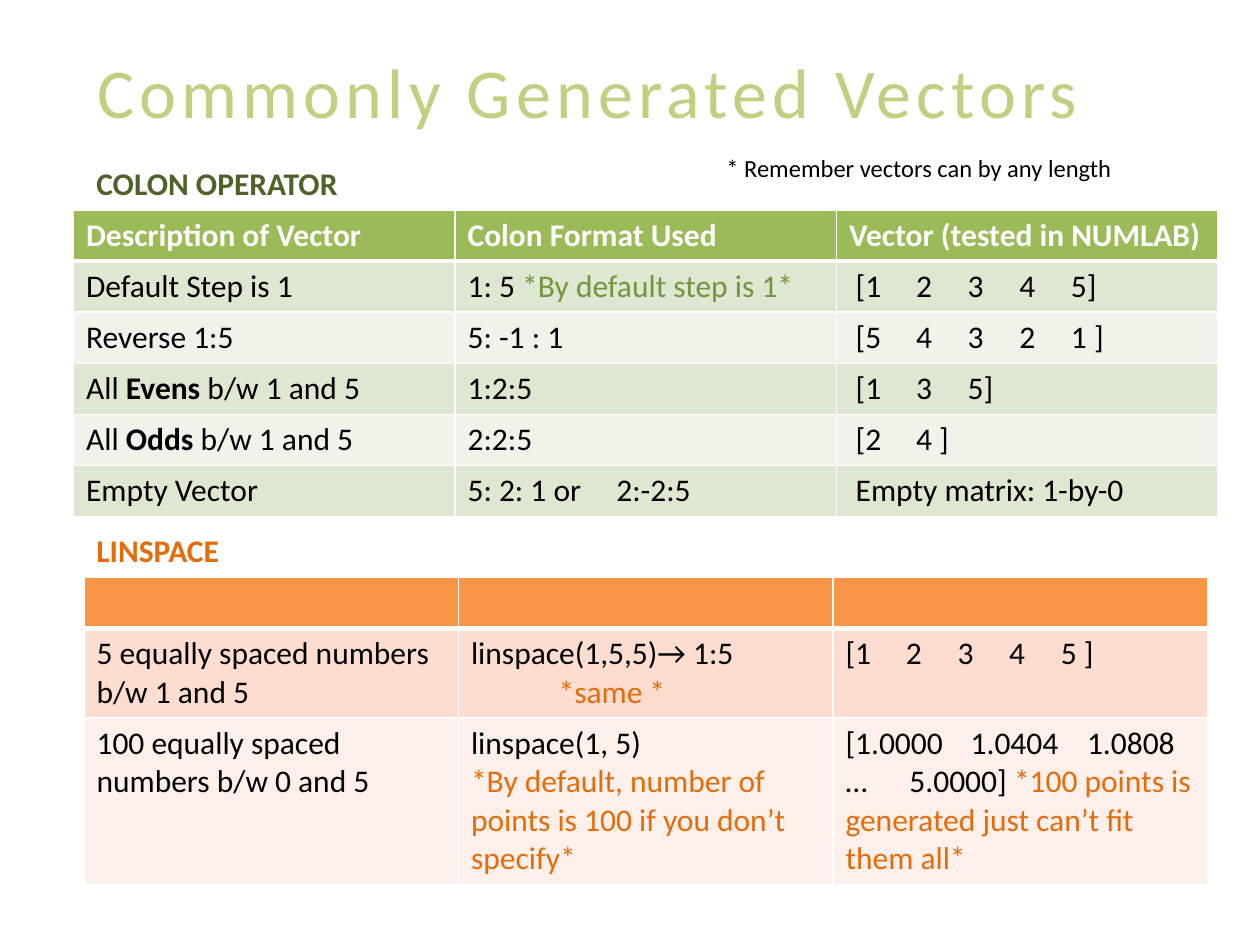
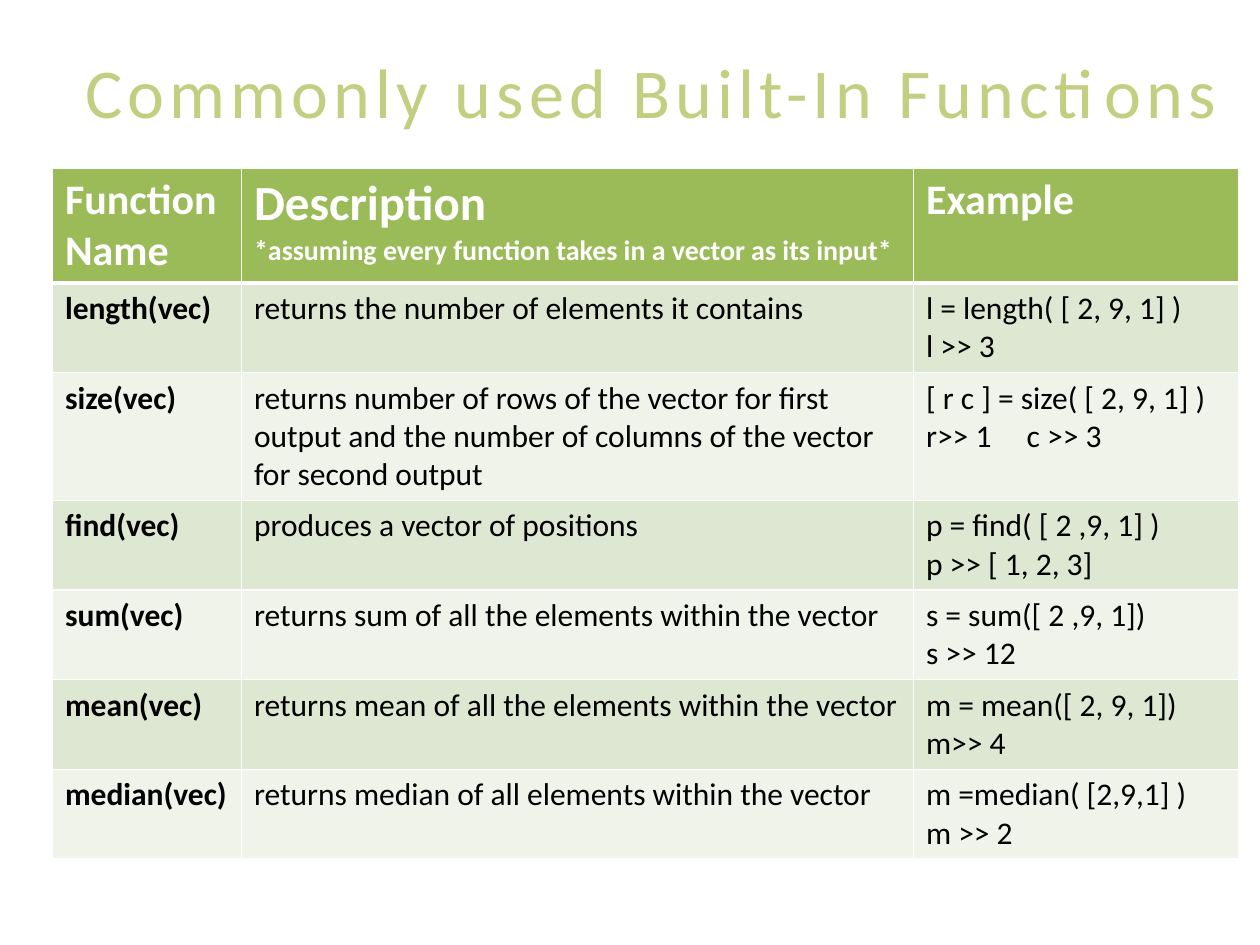
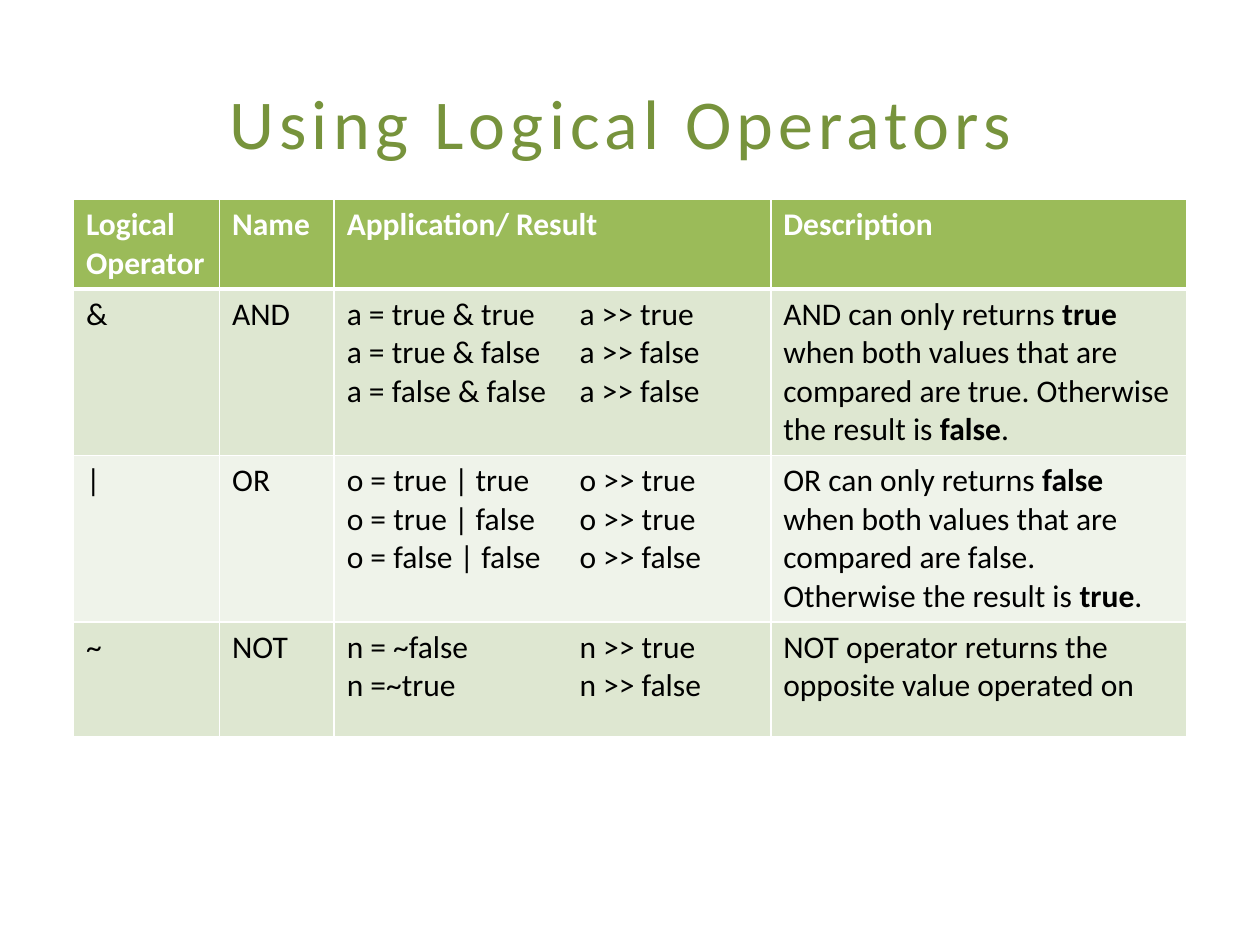
from pptx import Presentation
from pptx.dml.color import RGBColor
from pptx.enum.text import MSO_ANCHOR, PP_ALIGN
from pptx.oxml.ns import qn
from pptx.util import Pt
from lxml.etree import SubElement

# Shared look
FACE = "Calibri"
WHITE = RGBColor(0xFF, 0xFF, 0xFF)
BLACK = RGBColor(0, 0, 0)
LIME = RGBColor(0xC3, 0xCE, 0x81)
GREEN = RGBColor(0x77, 0x93, 0x3C)
FOREST = RGBColor(0x4F, 0x62, 0x28)
RUST = RGBColor(0xE4, 0x6C, 0x0A)
# Table fills: header, odd rows, even rows
LEAF = (RGBColor(0x9B, 0xBB, 0x59), RGBColor(0xDE, 0xE7, 0xD1), RGBColor(0xEF, 0xF3, 0xEA))
PEACH = (RGBColor(0xF7, 0x96, 0x46), RGBColor(0xFC, 0xDD, 0xCF), RGBColor(0xFD, 0xEF, 0xE9))

# Run styles; "tabs", "indent" and "pad" act on the paragraph or cell
BOLD = {"bold": True}
HEAD = {"bold": True, "color": WHITE}
BIG = {"size": 24}
NOTE = {"color": RUST}
STOPS = [34.5, 64, 93.5, 123]
LIST = {"tabs": STOPS}
VEC = {"tabs": STOPS, "pad": 11}
CALC = {"tabs": [133]}

# Content: a cell is a text or a list of parts; a part is a text or (text, style)
COLON = [
    ["Description of Vector", "Colon Format Used", "Vector (tested in NUMLAB)"],
    ["Default Step is 1", ["1: 5 ", ("*By default step is 1*", {"color": GREEN})],
     [("[1\t2\t3\t4\t5]", VEC)]],
    ["Reverse 1:5", "5: -1 : 1", [("[5\t4\t3\t2\t1 ]", VEC)]],
    [["All ", ("Evens", BOLD), " b/w 1 and 5"], "1:2:5", [("[1\t3\t5]", VEC)]],
    [["All ", ("Odds", BOLD), " b/w 1 and 5"], "2:2:5", [("[2\t4 ]", VEC)]],
    ["Empty Vector", [("5: 2: 1 or\t2:-2:5", {"tabs": [85]})],
     [("Empty matrix: 1-by-0", VEC)]],
]
SPACED = [
    ["", "", ""],
    ["5 equally spaced numbers b/w 1 and 5",
     ["linspace(1,5,5)→ 1:5\n", ("*same *", {"color": RUST, "indent": 50})],
     [("[1\t2\t3\t4\t5 ]", LIST)]],
    ["100 equally spaced numbers b/w 0 and 5",
     ["linspace(1, 5)\n",
      ("*By default, number of points is 100 if you don’t specify*", NOTE)],
     [("[1.0000\t1.0404\t1.0808 …\t5.0000] ", {"tabs": [36.5, 71.5, 138]}),
      ("*100 points is generated just can’t fit them all*", NOTE)]],
]
BUILTIN = [
    [[("Function Name", BIG)],
     [("Description", {"size": 28}),
      ("\n*assuming every function takes in a vector as its input*", {"size": 16})],
     [("Example", BIG)]],
    [[("length(vec)", BOLD)], "returns the number of elements it contains",
     "l = length( [ 2, 9, 1] )\nl >> 3"],
    [[("size(vec)", BOLD)],
     "returns number of rows of the vector for first output and the number of "
     "columns of the vector for second output",
     ["[ r c ] = size( [ 2, 9, 1] )\n", ("r>> 1\tc >> 3", {"tabs": [57.5]})]],
    [[("find(vec)", BOLD)], "produces a vector of positions",
     "p = find( [ 2 ,9, 1] )\np >> [ 1, 2, 3]"],
    [[("sum(vec)", BOLD)], "returns sum of all the elements within the vector",
     "s = sum([ 2 ,9, 1])\ns >> 12"],
    [[("mean(vec)", BOLD)], "returns mean of all the elements within the vector",
     "m = mean([ 2, 9, 1])\nm>> 4"],
    [[("median(vec)", BOLD)], "returns median of all elements within the vector",
     "m =median( [2,9,1] )\nm >> 2"],
]
LOGIC = [
    ["Logical Operator", "Name", "Application/ Result", "Description"],
    ["&", "AND",
     [("a = true & true\ta >> true\na = true & false\ta >> false\n"
       "a = false & false\ta >> false", CALC)],
     ["AND can only returns ", ("true", BOLD),
      " when both values that are compared are true. Otherwise the result is ",
      ("false", BOLD), "."]],
    ["|", "OR",
     [("o = true | true\to >> true\no = true | false\to >> true\n"
       "o = false | false\to >> false", CALC)],
     ["OR can only returns ", ("false", BOLD),
      " when both values that are compared are false. Otherwise the result is ",
      ("true", BOLD), "."]],
    ["~", "NOT", [("n = ~false\tn >> true\nn =~true\tn >> false", CALC)],
     "NOT operator returns the opposite value operated on"],
]

# Slides: title (text, colour, box), tables (rows, fills, corner, widths, heights), labels
SLIDES = [
    {"title": ("Commonly Generated Vectors", LIME, (36, 24, 600, 55.5)),
     "tables": [(COLON, LEAF, (42, 120), [218] * 3, [29.2] * 6),
                (SPACED, PEACH, (48, 330), [214] * 3, [29.2, 50.4, 93.6])],
     "labels": [("COLON OPERATOR", (48, 90, 324, 29), {"bold": True, "color": FOREST}),
                ("LINSPACE", (48, 300, 324, 29), {"bold": True, "color": RUST}),
                ("* Remember vectors can by any length", (408, 84, 348, 24.5), {"size": 14})]},
    {"title": ("Commonly used Built-In Functions", LIME, (36, 24, 672.5, 55.5)),
     "tables": [(BUILTIN, LEAF, (30, 96), [108, 384, 186],
                 [64, 50.4, 72] + [50.4] * 4)],
     "labels": []},
    {"title": ("Using Logical Operators", GREEN, (120, 42, 469.5, 55.5)),
     "tables": [(LOGIC, LEAF, (42, 114), [83.5, 65.5, 249.5, 237.5],
                 [50.4, 93.6, 93.6, 65.5])],
     "labels": []},
]


def add_run(para, text, style):
    look = {"size": 18, "bold": False, "color": BLACK, **style}
    run = para.add_run()
    run.text = text
    run.font.color.rgb = look["color"]
    for name, value in {"name": FACE, "size": Pt(look["size"]), "bold": look["bold"]}.items():
        setattr(run.font, name, value)
    return run


def set_para(para, style):
    props = para._p.get_or_add_pPr()
    if "indent" in style:
        props.set("marL", str(Pt(style["indent"])))
    if "tabs" in style and props.find(qn("a:tabLst")) is None:
        stops = SubElement(props, qn("a:tabLst"))
        for pos in style["tabs"]:
            SubElement(stops, qn("a:tab"), pos=str(Pt(pos)), algn="l")


def write(frame, parts, base):
    """Fill a text frame; each newline starts a paragraph."""
    para = frame.paragraphs[0]
    for part in [parts] if isinstance(parts, str) else parts:
        text, style = (part, {}) if isinstance(part, str) else part
        for num, line in enumerate(text.split("\n")):
            if num:
                para = frame.add_paragraph()
            if line:
                set_para(para, style)
                add_run(para, line, {**base, **style})


def add_edges(cell, row):
    props = cell._tc.get_or_add_tcPr()
    thick = {0: "lnB", 1: "lnT"}.get(row)
    for side in ("lnL", "lnR", "lnT", "lnB"):
        edge = SubElement(props, qn("a:" + side), w=str(Pt(3 if side == thick else 1)))
        fill = SubElement(edge, qn("a:solidFill"))
        SubElement(fill, qn("a:srgbClr"), val=str(WHITE))


def add_grid(slide, rows, fills, corner, widths, heights):
    size = sum(widths), sum(heights)
    grid = slide.shapes.add_table(len(rows), len(widths), *map(Pt, corner + size)).table
    for col, width in zip(grid.columns, widths):
        col.width = Pt(width)
    for r, (cells, height) in enumerate(zip(rows, heights)):
        grid.rows[r].height = Pt(height)
        for c, parts in enumerate(cells):
            cell = grid.cell(r, c)
            add_edges(cell, r)
            cell.fill.solid()
            cell.fill.fore_color.rgb = fills[0 if r == 0 else 2 - r % 2]
            write(cell.text_frame, parts, {} if r else HEAD)
            if not isinstance(parts, str) and "pad" in parts[0][1]:
                cell.margin_left = Pt(parts[0][1]["pad"])


def add_title(slide, text, color, box):
    title = slide.shapes.title
    for name, value in zip(("left", "top", "width", "height"), box):
        setattr(title, name, Pt(value))
    frame = title.text_frame
    frame.word_wrap = False
    frame.vertical_anchor = MSO_ANCHOR.TOP
    para = frame.paragraphs[0]
    para.alignment = PP_ALIGN.CENTER
    run = add_run(para, text, {"size": 40, "color": color})
    run._r.get_or_add_rPr().set("spc", "300")


def add_label(slide, text, box, style):
    frame = slide.shapes.add_textbox(*map(Pt, box)).text_frame
    frame.word_wrap = True
    write(frame, text, style)


def main():
    deck = Presentation()
    deck.slide_width, deck.slide_height = Pt(720), Pt(540)
    for page in SLIDES:
        slide = deck.slides.add_slide(deck.slide_layouts[5])
        add_title(slide, *page["title"])
        for grid in page["tables"]:
            add_grid(slide, *grid)
        for label in page["labels"]:
            add_label(slide, *label)
    deck.save("out.pptx")


if __name__ == "__main__":
    main()
